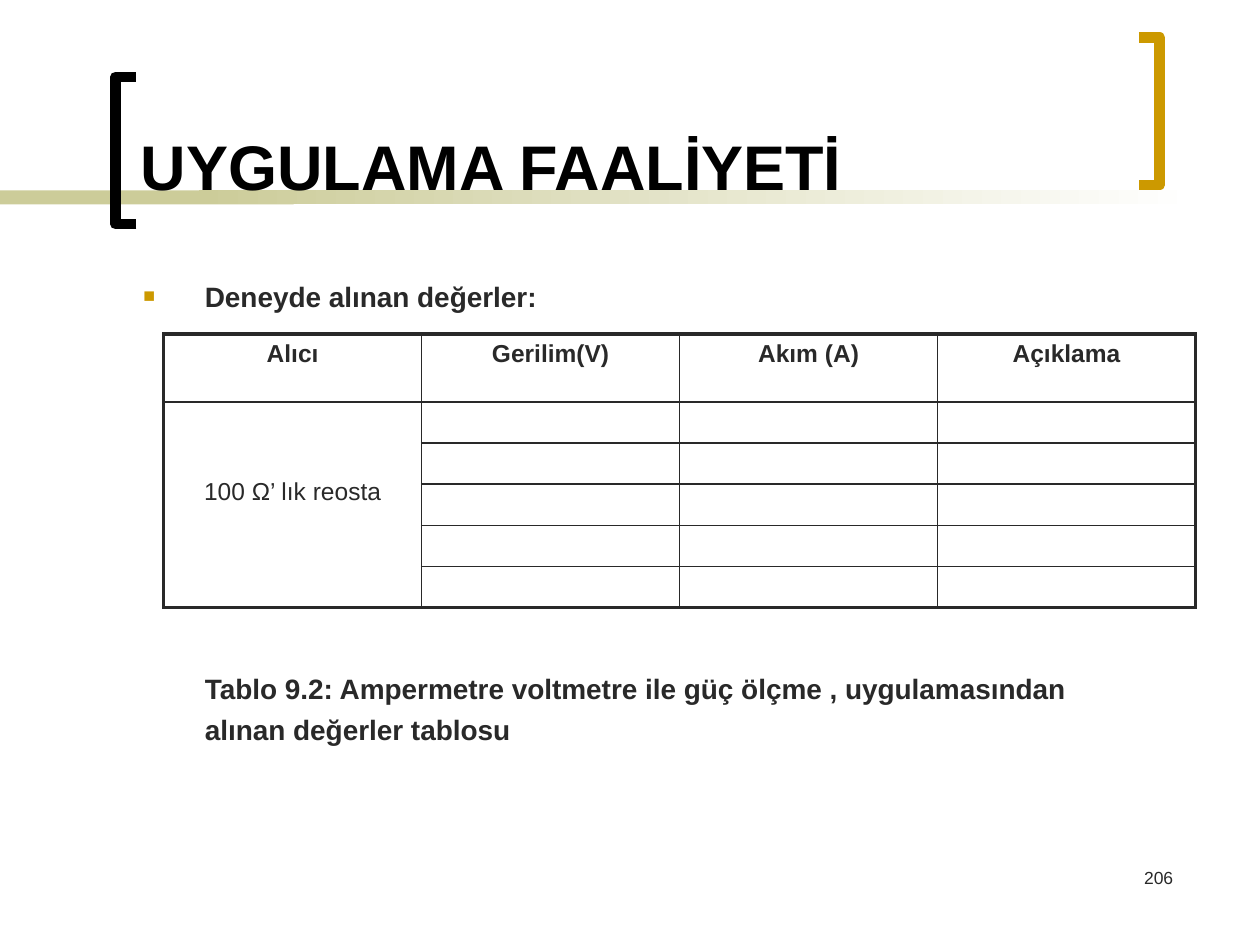
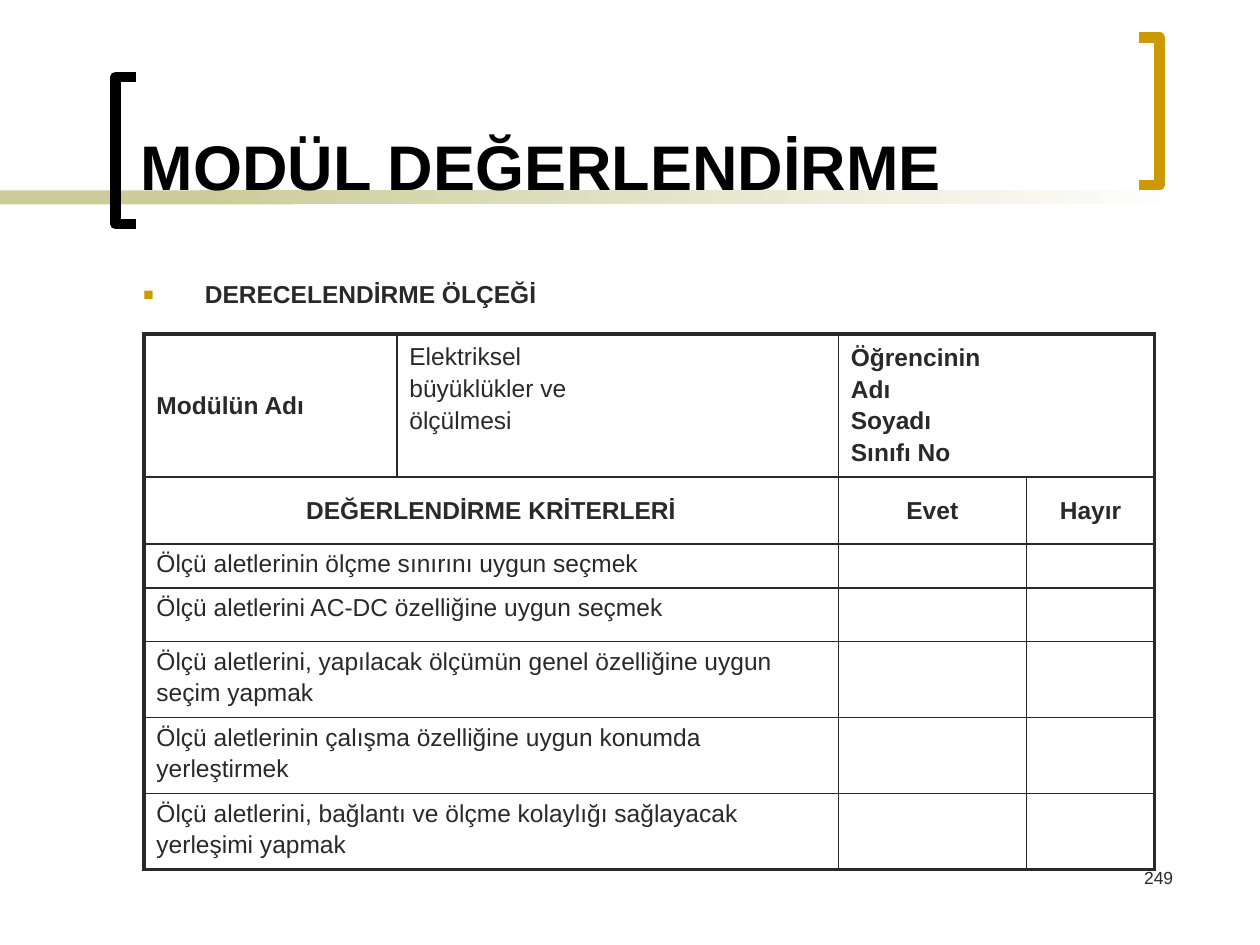
"""Build two slides of an electrical measurement course, each with a bordered table."""
from dataclasses import dataclass

from lxml import etree
from pptx import Presentation
from pptx import util as u
from pptx.dml import color
from pptx.enum import shapes, text
from pptx.oxml import ns

HUES = {"ink": "292929", "head": "000000", "gold": "CC9900", "sand": "CCCC99", "page": "FFFFFF"}
FACE = "Arial"
THICK, THIN = 2.25, 1
MID, TOP, LOW = text.MSO_ANCHOR.MIDDLE, text.MSO_ANCHOR.TOP, text.MSO_ANCHOR.BOTTOM
LEFT, MIDST, RIGHT = text.PP_ALIGN.LEFT, text.PP_ALIGN.CENTER, text.PP_ALIGN.RIGHT


@dataclass
class Box:
    left: float
    top: float
    width: float
    height: float

    def size(self) -> list:
        return [u.Cm(n) for n in (self.left, self.top, self.width, self.height)]


@dataclass
class Mark:
    points: list
    hue: str


@dataclass
class Entry:
    row: int
    col: int
    lines: list
    bold: bool = False
    align: int = LEFT
    anchor: int = TOP
    span: tuple = (1, 1)
    above: float = 0.13
    below: float = 0.13


@dataclass
class Grid:
    left: float
    top: float
    cols: list
    rows: list
    cells: list


@dataclass
class Page:
    title: str
    number: str
    body: Box
    lead: str
    size: int
    notes: list
    grid: Grid


MARKS = [
    Mark([(2.75, 4.52), (2.33, 4.52), (2.33, 1.55), (2.75, 1.55)], "head"),
    Mark([(22.96, 0.76), (23.38, 0.76), (23.38, 3.73), (22.96, 3.73)], "gold"),
]
TITLE = Box(2.59, 0.28, 19.89, 3.94)
FOOT = Box(18.62, 17.35, 5.28, 1.27)
BANDS = [Box(0, 3.84, 5.92, 0.28), Box(4.01, 3.84, 20.12, 0.28)]
INDENT = 1.24

HEADS = ["Alıcı", "Gerilim(V)", "Akım (A)", "Açıklama"]
TESTS = [
    ["Ölçü aletlerinin ölçme sınırını uygun seçmek"],
    ["Ölçü aletlerini AC-DC özelliğine uygun seçmek"],
    ["Ölçü aletlerini, yapılacak ölçümün genel özelliğine uygun", "seçim yapmak"],
    ["Ölçü aletlerinin çalışma özelliğine uygun konumda", "yerleştirmek"],
    ["Ölçü aletlerini, bağlantı ve ölçme kolaylığı sağlayacak", "yerleşimi yapmak"],
]

VALUES = Grid(3.3, 6.73, [5.2] * 4, [1.37] + [0.83] * 5, [
    *[Entry(0, i, [head], True, MIDST) for i, head in enumerate(HEADS)],
    Entry(1, 0, ["100 Ω’ lık reosta"], False, MIDST, MID, (5, 1), below=0.64),
])
SCALE = Grid(2.9, 6.73, [5.1, 8.9, 3.79, 2.59], [2.78, 1.35, 0.89, 1.07] + [1.47] * 3, [
    Entry(0, 0, ["Modülün Adı"], True, anchor=MID),
    Entry(0, 1, ["Elektriksel", "büyüklükler ve", "ölçülmesi"], above=0.19),
    Entry(0, 2, ["Öğrencinin", "Adı", "Soyadı", "Sınıfı No"], True, anchor=MID, span=(1, 2)),
    Entry(1, 0, ["DEĞERLENDİRME KRİTERLERİ"], True, MIDST, MID, (1, 2)),
    Entry(1, 2, ["Evet"], True, MIDST, MID),
    Entry(1, 3, ["Hayır"], True, MIDST, MID),
    *[Entry(i, 0, test, span=(1, 2)) for i, test in enumerate(TESTS, 2)],
])
PAGES = [
    Page("UYGULAMA FAALİYETİ", "206", Box(2.64, 5.51, 21.87, 12.83),
         "Deneyde alınan değerler:", 16,
         ["Tablo 9.2: Ampermetre voltmetre ile güç ölçme , uygulamasından",
          "alınan değerler tablosu"], VALUES),
    Page("MODÜL DEĞERLENDİRME", "249", Box(2.64, 5.51, 10.44, 11.43),
         "DERECELENDİRME ÖLÇEĞİ", 14, [], SCALE),
]


def rgb(hue: str) -> color.RGBColor:
    return color.RGBColor.from_string(HUES[hue])


def add(top, tag: str, **attrs: str):
    return etree.SubElement(top, ns.qn(tag), attrs)


def style(para, size: float, bold: bool, hue: str = "ink") -> None:
    for run in para.runs:
        run.font.name = FACE
        run.font.size = u.Pt(size)
        run.font.bold = bold
        run.font.color.rgb = rgb(hue)


def fill(frame, lines: list, size: float, bold: bool, align: int, gap: float, hue: str = "ink") -> None:
    frame.text = "\n".join(lines)
    for i, para in enumerate(frame.paragraphs):
        para.alignment = align
        if i:
            para.space_before = u.Pt(gap)
        style(para, size, bold, hue)


def label(slide, box: Box, lines: list, size: float, bold: bool = False, align: int = LEFT,
          anchor: int = TOP, hue: str = "ink", gap: float = 0):
    frame = slide.shapes.add_textbox(*box.size()).text_frame
    frame.word_wrap = True
    frame.vertical_anchor = anchor
    fill(frame, lines, size, bold, align, gap, hue)
    return frame


def bullet(para) -> None:
    props = para._p.get_or_add_pPr()
    props.set("indent", str(-u.Cm(INDENT)))
    add(add(props, "a:buClr"), "a:srgbClr", val=HUES["gold"])
    add(props, "a:buSzPct", val="70000")
    add(props, "a:buFont", typeface=FACE)
    add(props, "a:buChar", char="■")


def frame_page(slide, page: Page) -> None:
    for i, box in enumerate(BANDS):
        band = slide.shapes.add_shape(shapes.MSO_SHAPE.RECTANGLE, *box.size())
        band.shadow.inherit = False
        band.line.fill.background()
        if i:
            band.fill.gradient()
            band.fill.gradient_angle = 0
            for stop, hue in zip(band.fill.gradient_stops, ("sand", "page")):
                stop.color.rgb = rgb(hue)
        else:
            band.fill.solid()
            band.fill.fore_color.rgb = rgb("sand")
    for mark in MARKS:
        first, *rest = [(u.Cm(x), u.Cm(y)) for x, y in mark.points]
        pen = slide.shapes.build_freeform(*first)
        pen.add_line_segments(rest, close=False)
        shape = pen.convert_to_shape()
        shape.shadow.inherit = False
        shape.fill.background()
        shape.line.color.rgb = rgb(mark.hue)
        shape.line.width = u.Pt(6)
    label(slide, FOOT, [page.number], 10, align=RIGHT)
    label(slide, TITLE, [page.title], 36, True, anchor=LOW, hue="head")


def body(slide, page: Page) -> None:
    frame = label(slide, page.body, [page.lead, *page.notes], page.size, True, gap=4)
    for para in frame.paragraphs:
        para._p.get_or_add_pPr().set("marL", str(u.Cm(INDENT)))
    bullet(frame.paragraphs[0])
    if page.notes:
        frame.paragraphs[1].space_before = u.Pt(205)


def edge(cell, side: str, width: float) -> None:
    line = add(cell._tc.get_or_add_tcPr(), f"a:ln{side}", w=str(u.Pt(width)))
    add(add(line, "a:solidFill"), "a:srgbClr", val=HUES["ink"])


def rule(table, row: int, col: int) -> None:
    cell = table.cell(row, col)
    high, wide = (cell.span_height, cell.span_width) if cell.is_merge_origin else (1, 1)
    rims = {"L": col == 0, "R": col + wide == len(table.columns),
            "T": row == 0, "B": row + high == len(table.rows)}
    for side, rim in rims.items():
        if rim or not cell.is_spanned:
            edge(cell, side, THICK if rim else THIN)
    cell.fill.background()
    if not cell.text_frame.text:
        add(cell.text_frame.paragraphs[0]._p, "a:endParaRPr", sz="1200")


def draw(slide, grid: Grid) -> None:
    box = Box(grid.left, grid.top, sum(grid.cols), sum(grid.rows))
    table = slide.shapes.add_table(len(grid.rows), len(grid.cols), *box.size()).table
    table.first_row = table.horz_banding = False
    for col, width in zip(table.columns, grid.cols):
        col.width = u.Cm(width)
    for row, height in zip(table.rows, grid.rows):
        row.height = u.Cm(height)
    for item in grid.cells:
        cell = table.cell(item.row, item.col)
        if item.span != (1, 1):
            high, wide = item.span
            cell.merge(table.cell(item.row + high - 1, item.col + wide - 1))
        cell.vertical_anchor = item.anchor
        cell.margin_top, cell.margin_bottom = u.Cm(item.above), u.Cm(item.below)
        fill(cell.text_frame, item.lines, 14, item.bold, item.align, 2.4)
    for row in range(len(grid.rows)):
        for col in range(len(grid.cols)):
            rule(table, row, col)


def main() -> None:
    deck = Presentation()
    deck.slide_width, deck.slide_height = u.Cm(25.4), u.Cm(19.05)
    for page in PAGES:
        slide = deck.slides.add_slide(deck.slide_layouts[6])
        frame_page(slide, page)
        body(slide, page)
        draw(slide, page.grid)
    deck.save("out.pptx")


if __name__ == "__main__":
    main()
